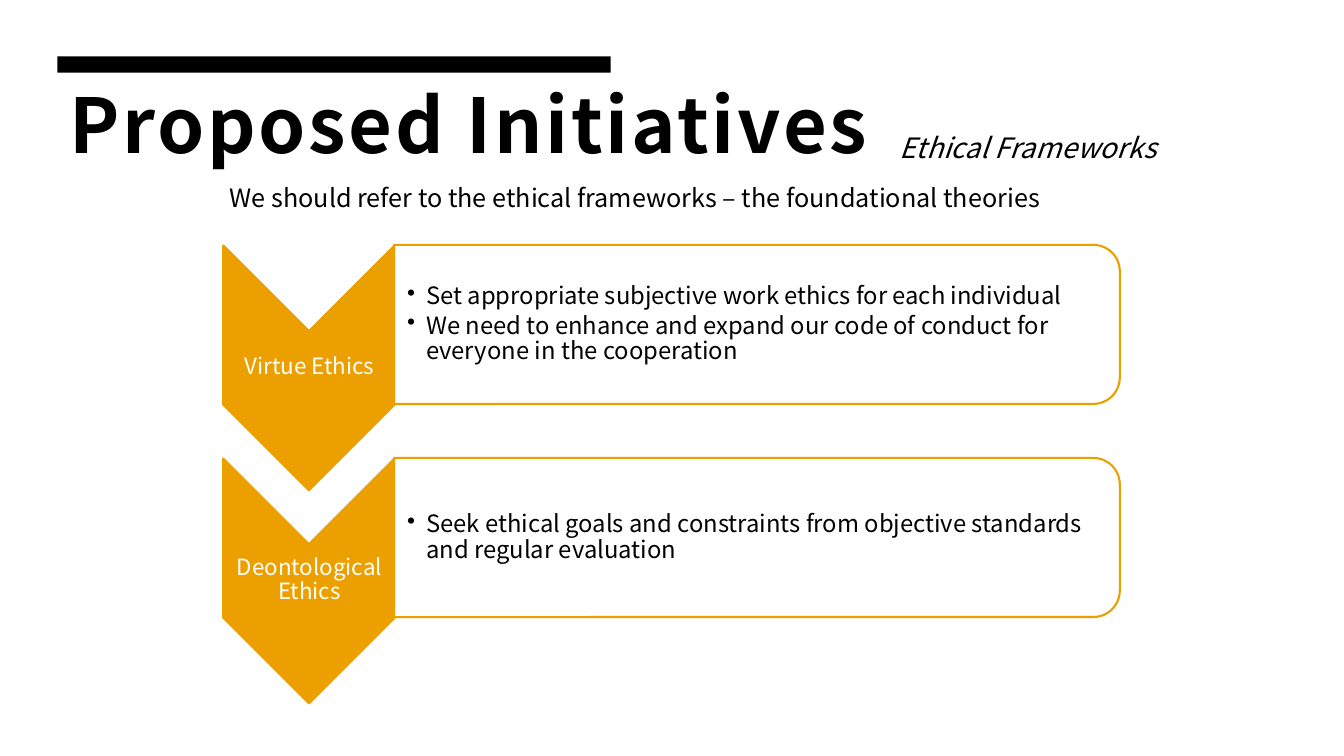
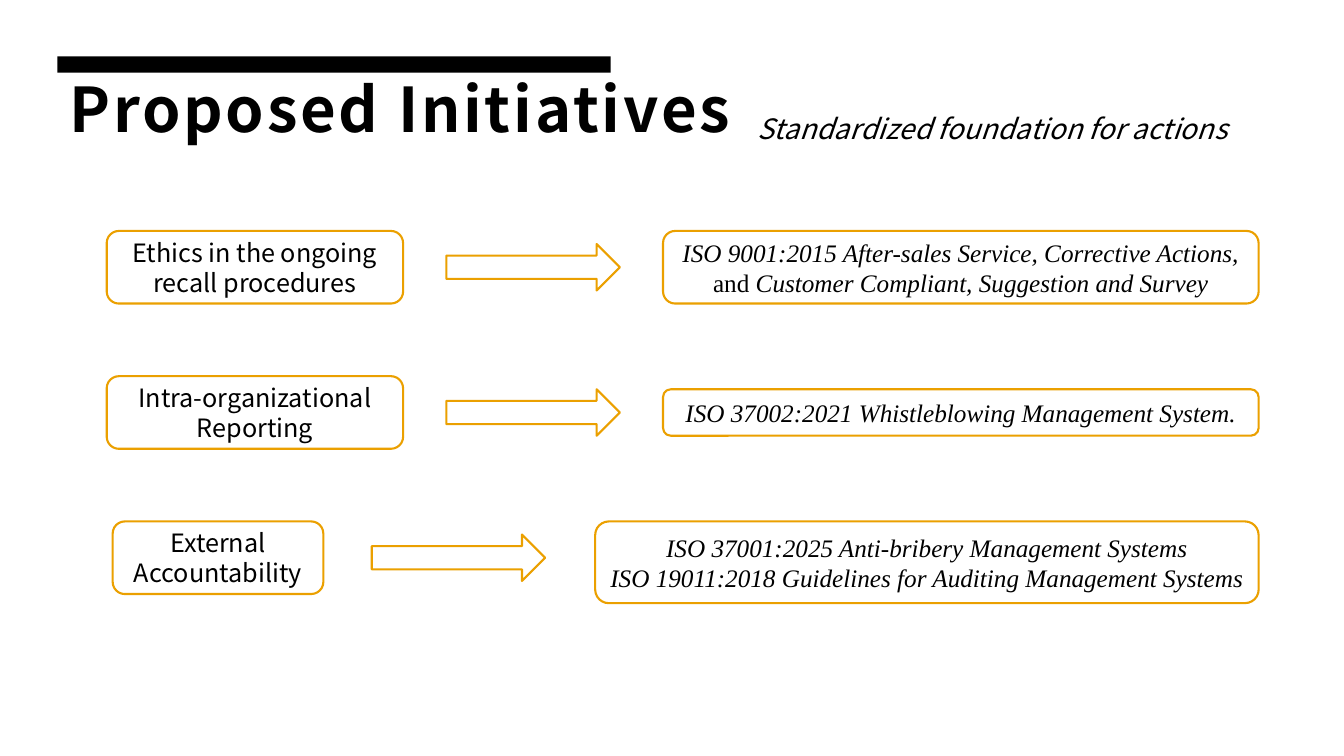
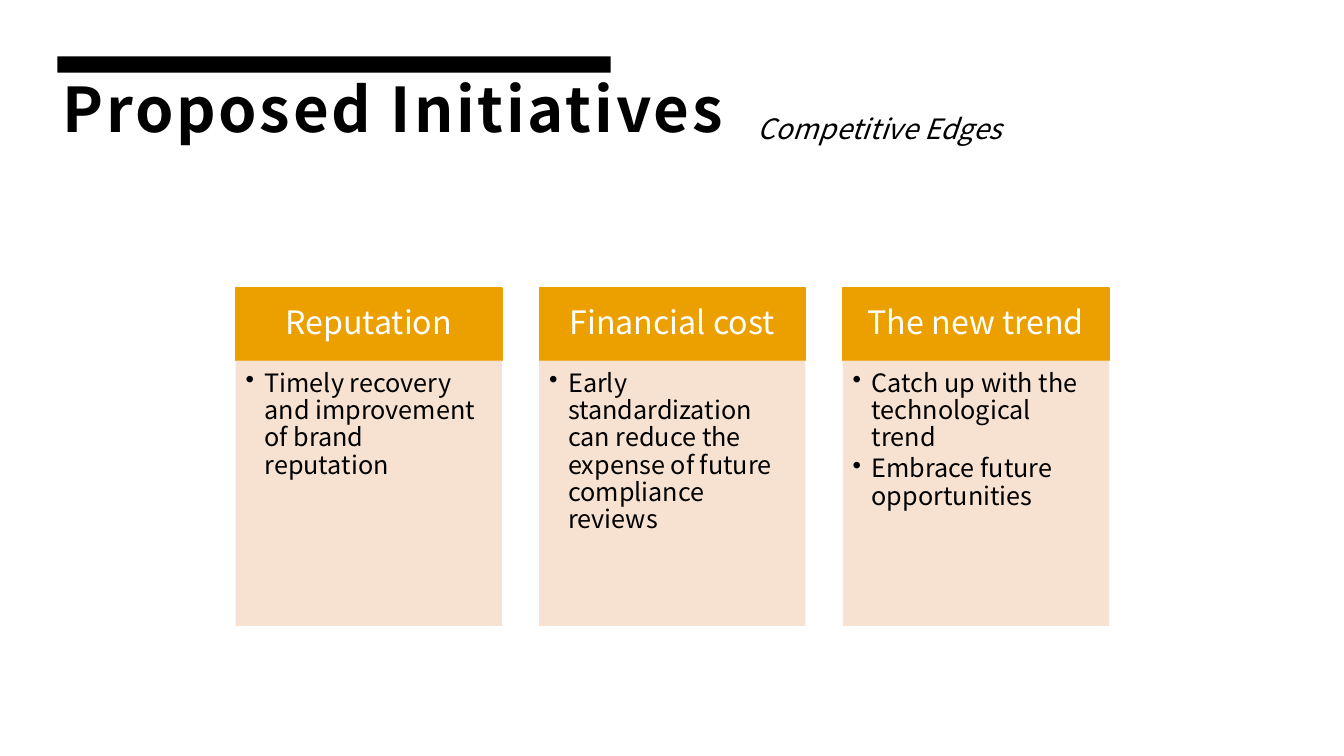
from dataclasses import dataclass

from lxml import etree
from pptx import Presentation
from pptx.dml.color import RGBColor
from pptx.enum.shapes import MSO_SHAPE
from pptx.enum.text import MSO_ANCHOR, MSO_AUTO_SIZE, PP_ALIGN
from pptx.oxml.ns import qn
from pptx.util import Cm, Pt

RECT, ROUND = MSO_SHAPE.RECTANGLE, MSO_SHAPE.ROUNDED_RECTANGLE
CHEVRON, ARROW = MSO_SHAPE.CHEVRON, MSO_SHAPE.RIGHT_ARROW
TAB = MSO_SHAPE.ROUND_2_SAME_RECTANGLE
TOP, MIDDLE = MSO_ANCHOR.TOP, MSO_ANCHOR.MIDDLE
LEFT, CENTER = PP_ALIGN.LEFT, PP_ALIGN.CENTER
FIXED = MSO_AUTO_SIZE.NONE


@dataclass(frozen=True)
class Theme:
    black: str = "000000"
    white: str = "FFFFFF"
    gold: str = "EBA000"
    peach: str = "F7DFCC"
    sans: str = "Noto Sans CJK SC"
    serif: str = "Times New Roman"
    large: int = 54
    title: int = 44
    head: int = 23
    sub: int = 20
    body: int = 18
    point: int = 17
    label: int = 16


theme = Theme()


def draw(slide, kind, box, fill, line=None, width=1.5, alpha=None, turn=0):
    """Add a preset shape; box is left, top, width, height in cm."""
    shape = slide.shapes.add_shape(kind, *map(Cm, box))
    shape.shadow.inherit = False
    shape.rotation = turn
    shape.fill.solid()
    shape.fill.fore_color.rgb = RGBColor.from_string(fill)
    if alpha:
        color = shape.element.spPr.find(".//" + qn("a:srgbClr"))
        etree.SubElement(color, qn("a:alpha"), val=str(alpha * 1000))
    if line:
        shape.line.color.rgb = RGBColor.from_string(line)
        shape.line.width = Pt(width)
    else:
        shape.line.fill.background()
    return shape


def write(shape, paras, size, ink=theme.black, face=theme.sans, bold=False,
          italic=False, align=LEFT, anchor=TOP, pad=(0.25, 0.13, 0.25, 0.13),
          lead=1, after=0, bullet=False):
    """Fill a shape with paragraphs, each a list of runs (text, or text with its italic flag)."""
    frame = shape.text_frame
    sides = dict(zip(("left", "top", "right", "bottom"), map(Cm, pad)))
    form = {"margin_" + side: gap for side, gap in sides.items()}
    form.update(word_wrap=True, auto_size=FIXED, vertical_anchor=anchor)
    for key, value in form.items():
        setattr(frame, key, value)
    for num, runs in enumerate(paras):
        para = frame.add_paragraph() if num else frame.paragraphs[0]
        para.alignment, para.line_spacing = align, lead
        para.space_after = Pt(after)
        if bullet:
            props = para._p.get_or_add_pPr()
            props.set("marL", str(Cm(0.48)))
            props.set("indent", str(Cm(-0.48)))
            etree.SubElement(props, qn("a:buChar"), char="•")
        for part in runs:
            text, slant = (part, italic) if isinstance(part, str) else part
            run = para.add_run()
            run.text = text
            font = {"name": face, "size": Pt(size), "bold": bold, "italic": slant}
            for key, value in font.items():
                setattr(run.font, key, value)
            run.font.color.rgb = RGBColor.from_string(ink)


deck = Presentation()
deck.slide_width, deck.slide_height = Cm(33.87), Cm(19.05)
layout = deck.slide_layouts[5]

# Titles and subtitles
heads = [
    ((1.45, 1.93, 21.23, 3.02), theme.large,
     "Ethical Frameworks", (22.43, 3.15, 7.57, 1.12)),
    ((1.45, 1.7, 17.73, 3.02), theme.title,
     "Standardized foundation for actions", (18.85, 2.67, 12.88, 1.12)),
    ((1.27, 1.7, 17.73, 3.02), theme.title,
     "Competitive Edges", (18.85, 2.67, 12.88, 1.12)),
]
slides = []
for place, size, sub, spot in heads:
    slide = deck.slides.add_slide(layout)
    title = slide.shapes.title
    for key, value in zip(("left", "top", "width", "height"), place):
        setattr(title, key, Cm(value))
    write(title, [["Proposed Initiatives"]], size, bold=True, lead=0.9,
          pad=(0.3, 0.3, 0.3, 0.25))
    title.text_frame.paragraphs[0].runs[0].font._element.set("spc", "200")
    note = slide.shapes.add_textbox(*map(Cm, spot))
    write(note, [[sub]], theme.sub, italic=True)
    slides.append(slide)
ethics, actions, edges = slides

# The bar belongs to the layout, so every slide shows it
bar = draw(ethics, RECT, (1.45, 1.42, 13.94, 0.41), theme.black)
layout.shapes.element.append(bar.element)

# Ethical frameworks
frames = [
    ("Virtue Ethics",
     ["Set appropriate subjective work ethics for each individual",
      "We need to enhance and expand our code of conduct for everyone in the cooperation"]),
    ("Deontological Ethics",
     ["Seek ethical goals and constraints from objective standards and regular evaluation"]),
]
for row, (name, points) in enumerate(frames):
    drop = row * 5.37
    draw(ethics, CHEVRON, (4.7, 7.11 + drop, 6.17, 4.32), theme.gold, theme.gold, turn=90)
    label = ethics.shapes.add_textbox(*map(Cm, (5.64, 8.33 + drop, 4.32, 1.85)))
    write(label, [[name]], theme.label, theme.white, align=CENTER, anchor=MIDDLE,
          pad=(0.03,) * 4, lead=0.9, after=5.6)
    draw(ethics, TAB, (17.07, -0.97 + drop, 4.01, 18.29), theme.white, theme.gold,
         alpha=90, turn=90)
    text = ethics.shapes.add_textbox(*map(Cm, (9.93, 6.38 + drop, 18.08, 3.61)))
    write(text, [[point] for point in points], theme.point, anchor=MIDDLE,
          pad=(0.33, 0.03, 0.03, 0.03), lead=0.9, after=2.55, bullet=True)
intro = ethics.shapes.add_textbox(*map(Cm, (5.54, 4.47, 21.79, 1.02)))
write(intro, [["We should refer to the ethical frameworks – the foundational theories"]],
      theme.body)

# Standards: topic, its left and width, arrow left, standard, its left, top and height
steps = [
    ("Ethics in the ongoing recall procedures", 2.69, 7.47, 11.25,
     [["ISO 9001:2015 After-sales Service, Corrective Actions,", (" and", False),
       " Customer Compliant, Suggestion and Survey"]], 16.71, 0, 1.83),
    ("Intra-organizational Reporting", 2.69, 7.47, 11.25,
     [["ISO 37002:2021 Whistleblowing Management System."]], 16.71, 0.33, 1.17),
    ("External Accountability", 2.84, 5.31, 9.37,
     [["ISO 37001:2025 Anti-bribery Management Systems"],
      ["ISO 19011:2018 Guidelines for Auditing Management Systems"]], 15, 0, 2.06),
]
edge = 31.72
mid = {"align": CENTER, "anchor": MIDDLE}
for row, (topic, left, width, tail, norm, start, drop, height) in enumerate(steps):
    top = 5.82 + row * 3.66
    cause = draw(actions, ROUND, (left, top, width, 1.83), theme.white, theme.gold)
    write(cause, [[topic]], theme.body, **mid)
    draw(actions, ARROW, (tail, top + 0.33, 4.37, 1.17), theme.white, theme.gold)
    rule = draw(actions, ROUND, (start, top + drop, edge - start, height),
                theme.white, theme.gold)
    write(rule, norm, theme.body, face=theme.serif, italic=True, **mid)

# Competitive edges
cards = [
    ("Reputation", ["Timely recovery and improvement of brand reputation"]),
    ("Financial cost",
     ["Early standardization can reduce the expense of future compliance reviews"]),
    ("The new trend",
     ["Catch up with the technological trend", "Embrace future opportunities"]),
]
for col, (name, points) in enumerate(cards):
    left = 5.94 + col * 7.65
    head = draw(edges, RECT, (left, 7.26, 6.71, 1.83), theme.gold, theme.gold, width=1)
    write(head, [[name]], theme.head, theme.white, pad=(0.46, 0.25, 0.46, 0.25),
          lead=0.9, after=8.05, **mid)
    body = draw(edges, RECT, (left, 9.09, 6.71, 6.68), theme.peach, alpha=90)
    write(body, [[point] for point in points], theme.body,
          pad=(0.25, 0.25, 0.36, 0.41), lead=0.9, after=2.7, bullet=True)

deck.save("out.pptx")
